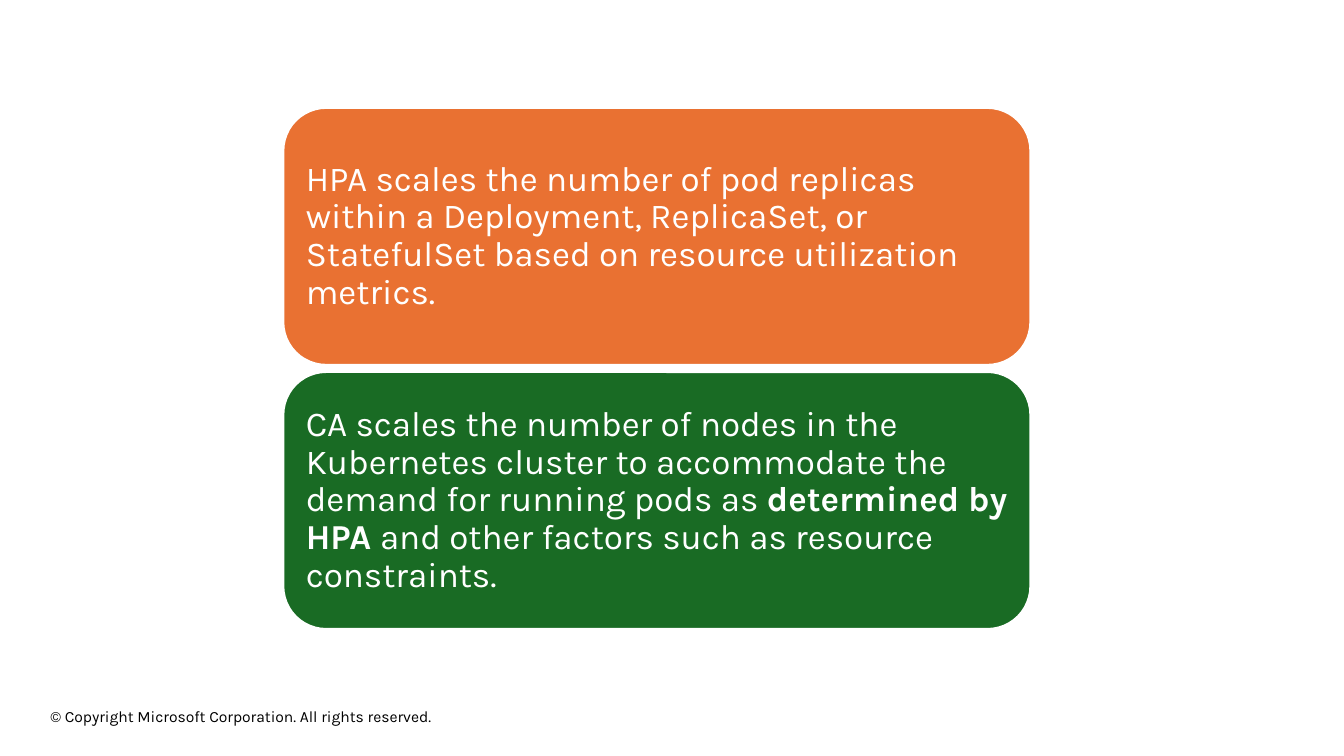
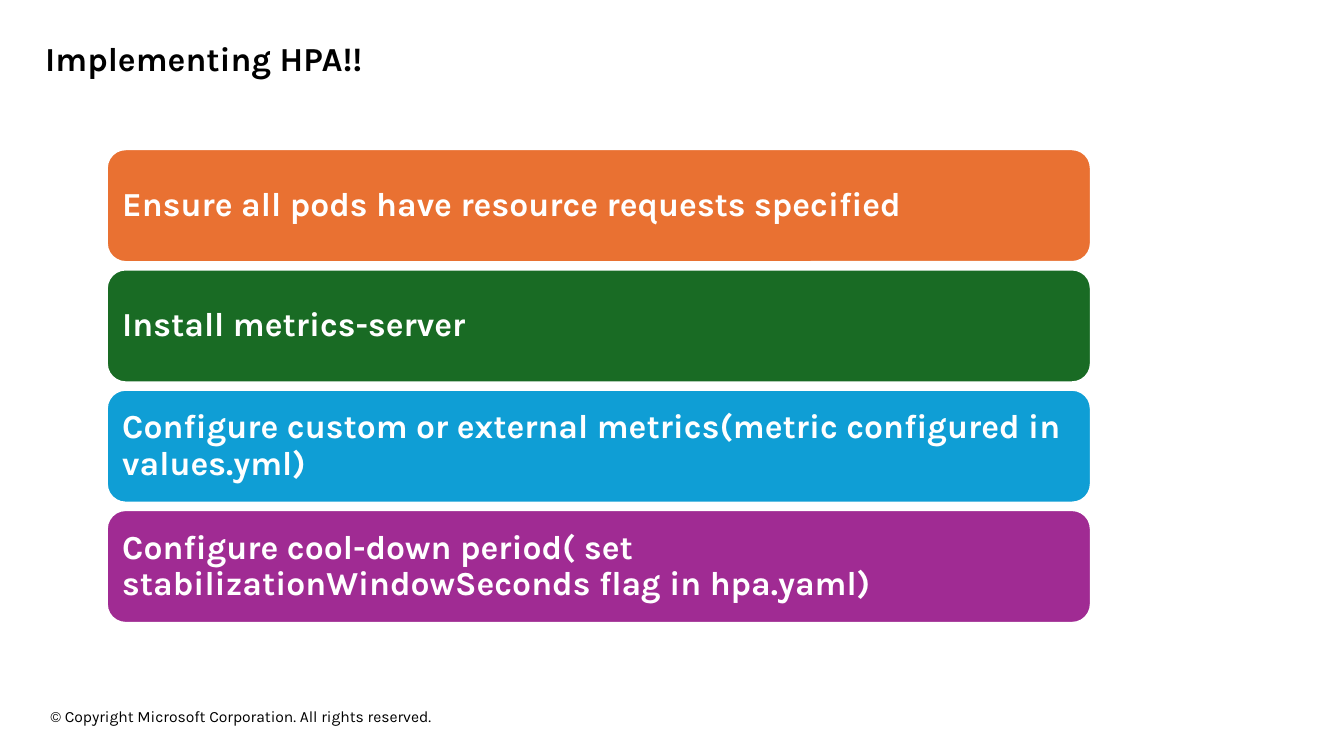
from pptx import Presentation
from pptx.dml.color import RGBColor
from pptx.enum import shapes, text
from pptx.util import Inches, Pt

FONT = "Karla"
WHITE, BLACK = "FFFFFF", "000000"
CARD_COLORS = ["E97132", "196B24", "0F9ED5", "A02B93"]
FOOTER = "© Copyright Microsoft Corporation. All rights reserved."

SLIDES = [
    {
        "title": None,
        "stack": {"left": 2.81, "top": 1.07, "width": 7.41, "bottom": 6.24, "height": 2.55},
        "size": 25,
        "cards": [
            [("HPA scales the number of pod replicas within a Deployment, ReplicaSet, "
              "or StatefulSet based on resource utilization metrics.", False)],
            [("CA scales the number of nodes in the Kubernetes cluster to accommodate "
              "the demand for running pods as ", False),
             ("determined by HPA ", True),
             ("and other factors such as resource constraints.", False)],
        ],
    },
    {
        "title": "Implementing HPA!!",
        "stack": {"left": 1.06, "top": 1.48, "width": 9.76, "bottom": 6.18, "height": 1.12},
        "size": 24,
        "cards": [
            [("Ensure all pods have resource requests specified", True)],
            [("Install metrics-server", True)],
            [("Configure custom or external metrics(metric configured in values.yml)", True)],
            [("Configure cool-down period( set stabilizationWindowSeconds flag in hpa.yaml)", True)],
        ],
    },
]


def rgb(color):
    return RGBColor.from_string(color)


def write(shape, runs, size, color, margins, anchor, line_spacing=1.0):
    frame = shape.text_frame
    settings = dict(zip(("margin_left", "margin_top", "margin_right", "margin_bottom"),
                        map(Inches, margins)))
    settings.update(word_wrap=True, vertical_anchor=anchor)
    for name, value in settings.items():
        setattr(frame, name, value)
    paragraph = frame.paragraphs[0]
    paragraph.alignment = text.PP_ALIGN.LEFT
    paragraph.line_spacing = line_spacing
    for words, bold in runs:
        run = paragraph.add_run()
        run.text = words
        for name, value in {"name": FONT, "size": Pt(size), "bold": bold}.items():
            setattr(run.font, name, value)
        run.font.color.rgb = rgb(color)


def add_label(slide, box, words, size, bold, margins):
    label = slide.shapes.add_textbox(*map(Inches, box))
    write(label, [(words, bold)], size, BLACK, margins, text.MSO_ANCHOR.TOP)


def add_cards(slide, cards, stack, size):
    height = stack["height"]
    pitch = (stack["bottom"] - stack["top"] - height) / (len(cards) - 1)
    for index, (runs, color) in enumerate(zip(cards, CARD_COLORS)):
        box = (stack["left"], stack["top"] + index * pitch, stack["width"], height)
        card = slide.shapes.add_shape(shapes.MSO_SHAPE.ROUNDED_RECTANGLE, *map(Inches, box))
        card.shadow.inherit = False
        card.fill.solid()
        card.fill.fore_color.rgb = rgb(color)
        card.line.color.rgb = rgb(WHITE)
        card.line.width = Pt(1.5)
        write(card, runs, size, WHITE, (0.1,) * 4, text.MSO_ANCHOR.MIDDLE, 0.9)


def main():
    presentation = Presentation()
    presentation.slide_width = Inches(13.33)
    presentation.slide_height = Inches(7.5)
    for content in SLIDES:
        slide = presentation.slides.add_slide(presentation.slide_layouts[6])
        add_label(slide, (0.5, 7.01, 4.06, 0.19), FOOTER, 11.2, False, (0,) * 4)
        add_cards(slide, content["cards"], content["stack"], content["size"])
        if content["title"]:
            add_label(slide, (0.35, 0.33, 6.67, 0.5), content["title"], 24, True,
                      (0.1, 0.05, 0.1, 0.05))
    presentation.save("out.pptx")


if __name__ == "__main__":
    main()
